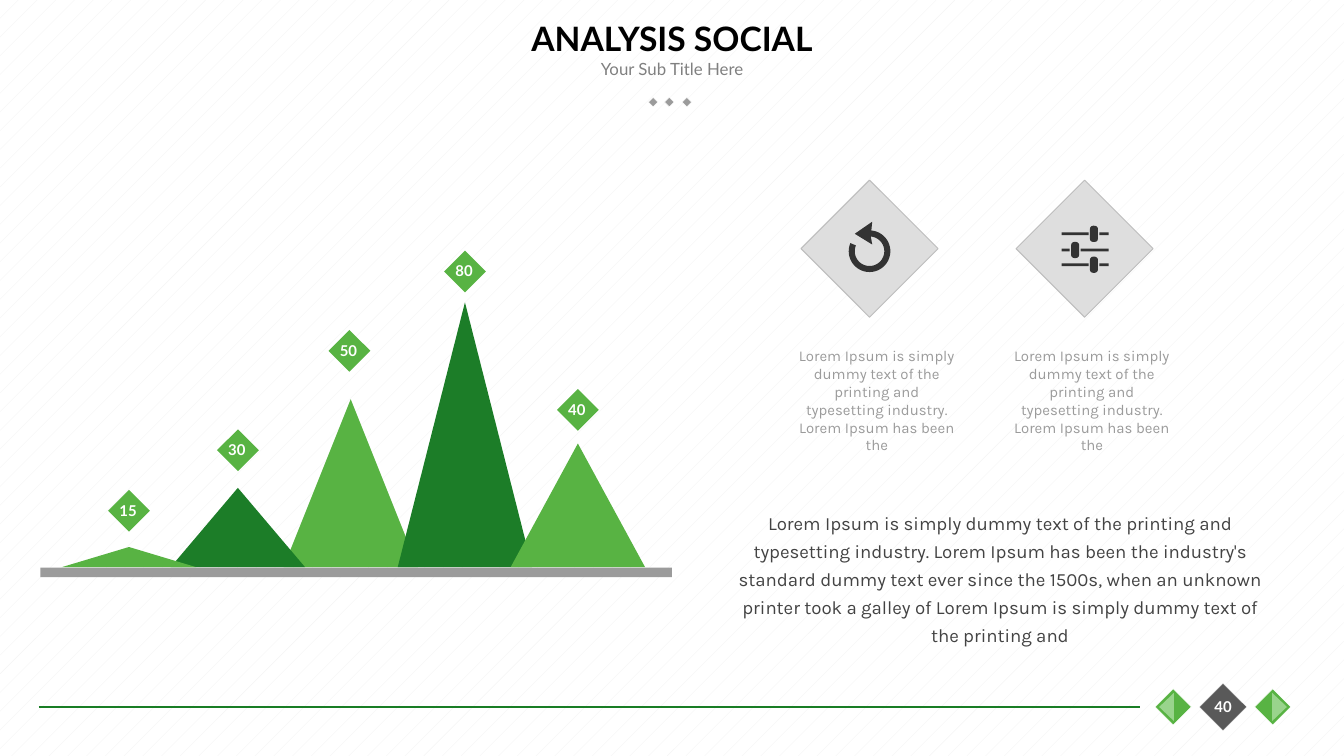
import math

from lxml import etree
from pptx import Presentation
from pptx.dml.color import RGBColor
from pptx.enum.dml import MSO_PATTERN
from pptx.enum.shapes import MSO_CONNECTOR, MSO_SHAPE
from pptx.enum.text import MSO_ANCHOR, PP_ALIGN
from pptx.oxml.ns import qn
from pptx.util import Inches, Pt

RECTANGLE = MSO_SHAPE.RECTANGLE
ROUNDED = MSO_SHAPE.ROUNDED_RECTANGLE
DIAMOND = MSO_SHAPE.DIAMOND
TRIANGLE = MSO_SHAPE.ISOSCELES_TRIANGLE
EXTRACT = MSO_SHAPE.FLOWCHART_EXTRACT
CENTER, LEFT = PP_ALIGN.CENTER, PP_ALIGN.LEFT
TOP, MIDDLE = MSO_ANCHOR.TOP, MSO_ANCHOR.MIDDLE

GREEN, DARK_GREEN, PALE_GREEN = "58B343", "1C7D28", "99D48C"
GRAY, ICON_COLOR, WHITE = "9B9B9B", "333333", "FFFFFF"
color = RGBColor.from_string

deck = Presentation()
deck.slide_width = Inches(10)
deck.slide_height = Inches(10) * 9 // 16
page = deck.slides.add_slide(deck.slide_layouts[5])
backdrop = page.background.fill
backdrop.patterned()
backdrop.pattern = MSO_PATTERN.PERCENT_5
backdrop.fore_color.rgb = color("F2F2F2")
backdrop.back_color.rgb = color(WHITE)


def add_figure(kind, center_x, center_y, width, height, fill, turn=0, line=None, weight=0.25):
    """Add a filled preset shape placed by its centre."""
    figure = page.shapes.add_shape(
        kind, Inches(center_x - width / 2), Inches(center_y - height / 2),
        Inches(width), Inches(height))
    figure.shadow.inherit = False
    figure.rotation = turn
    figure.fill.solid()
    figure.fill.fore_color.rgb = color(fill)
    if line:
        figure.line.color.rgb = color(line)
        figure.line.width = Pt(weight)
    else:
        figure.line.fill.background()
    return figure


def add_text(text, left, top, width, height, size, font, fill,
             bold=False, align=CENTER, anchor=TOP, box=None, wrap=True):
    """Write one paragraph in a new text box, or in the given box."""
    box = box or page.shapes.add_textbox(0, 0, 0, 0)
    box.left, box.top = Inches(left), Inches(top)
    box.width, box.height = Inches(width), Inches(height)
    frame = box.text_frame
    frame.word_wrap = wrap
    frame.vertical_anchor = anchor
    para = frame.paragraphs[0]
    para.alignment = align
    span = para.add_run()
    span.text = text
    span.font.size = Pt(size)
    span.font.name = font
    span.font.bold = bold
    span.font.color.rgb = color(fill)
    return para


# Heading
add_text("ANALYSIS SOCIAL", 0.75, 0, 8.5, 0.56, 18, "Lato", "000000",
         bold=True, anchor=MIDDLE, box=page.shapes.title)
add_text("Your Sub Title Here", 3.75, 0.39, 2.5, 0.25, 9, "Lato", "808080", anchor=MIDDLE)
for center_x in (4.86, 4.98, 5.11):
    add_figure(RECTANGLE, center_x, 0.76, 0.05, 0.05, GRAY, 315, WHITE)

# Footer
rule = page.shapes.add_connector(
    MSO_CONNECTOR.STRAIGHT, Inches(0.29), Inches(5.26), Inches(8.48), Inches(5.26))
rule.line.color.rgb = color("197D25")
rule.line.width = Pt(0.75)
etree.SubElement(rule._element.spPr, qn("a:effectLst"))
add_figure(RECTANGLE, 9.1, 5.26, 0.25, 0.25, "595959", 315, WHITE)
for center_x, half_x, turn in ((9.47, 9.52, 90), (8.73, 8.68, 270)):
    add_figure(RECTANGLE, center_x, 5.26, 0.19, 0.19, GREEN, 315, WHITE)
    add_figure(EXTRACT, half_x, 5.26, 0.21, 0.11, PALE_GREEN, turn)
add_text("40", 8.89, 5.13, 0.42, 0.25, 8, "Lato", WHITE, bold=True, anchor=MIDDLE)

# Peaks: value, centre, top of the peak, centre of the label, colour
BASE = 4.22
add_figure(RECTANGLE, 2.65, 4.26, 4.7, 0.07, GRAY)
peaks = (
    ("50", 2.61, 2.97, 2.6, 2.61, GREEN),
    ("80", 3.46, 2.25, 3.46, 2.02, DARK_GREEN),
    ("40", 4.3, 3.3, 4.3, 3.05, GREEN),
    ("30", 1.77, 3.63, 1.77, 3.35, DARK_GREEN),
    ("15", 0.96, 4.07, 0.96, 3.8, GREEN),
)
for value, peak_x, peak_top, label_x, label_y, fill in peaks:
    add_figure(TRIANGLE, peak_x, (peak_top + BASE) / 2, 1, BASE - peak_top, fill)
    add_figure(RECTANGLE, label_x, label_y, 0.22, 0.22, GREEN, 225)
    add_text(value, label_x - 0.17, label_y - 0.12, 0.34, 0.24, 8, "Lato", WHITE,
             bold=True, align=LEFT, wrap=False)

# Features
for diamond_x, text_left in ((6.47, 5.81), (8.07, 7.41)):
    add_figure(DIAMOND, diamond_x, 1.85, 1.02, 1.02, "DEDEDE", line="BDBDBD", weight=0.5)
    add_text("Lorem Ipsum is simply dummy text of the printing and typesetting industry. "
             "Lorem Ipsum has been the", text_left, 2.53, 1.43, 0.77, 8, "Karla", GRAY)

# Reset icon: an open ring that ends in an arrowhead
angles = [math.radians(degrees) for degrees in range(203, -86, -6)]
outer, inner = [
    [(6.47 + radius * math.cos(angle), 1.87 + radius * math.sin(angle)) for angle in angles]
    for radius in (0.155, 0.11)]
outline = outer + [(6.49, 1.65), (6.36, 1.74), (6.49, 1.82)] + inner[::-1]
points = [(Inches(x), Inches(y)) for x, y in outline]
builder = page.shapes.build_freeform(*points[0])
builder.add_line_segments(points[1:], close=True)
arrow = builder.convert_to_shape()
arrow.shadow.inherit = False
arrow.fill.solid()
arrow.fill.fore_color.rgb = color(ICON_COLOR)
arrow.line.fill.background()

# Sliders icon: each track is broken around its knob
TRACK_LEFT, TRACK_RIGHT, GAP = 7.9, 8.25, 0.04
for knob_x, track_y in ((8.14, 1.74), (8, 1.86), (8.14, 1.97)):
    for start, end in ((TRACK_LEFT, knob_x - GAP), (knob_x + GAP, TRACK_RIGHT)):
        add_figure(RECTANGLE, (start + end) / 2, track_y, end - start, 0.02, ICON_COLOR)
    knob = add_figure(ROUNDED, knob_x, track_y, 0.06, 0.12, ICON_COLOR)
    knob.adjustments[0] = 0.4

# Summary
summary = add_text(
    "Lorem Ipsum is simply dummy text of the printing and typesetting industry. "
    "Lorem Ipsum has been the industry's standard dummy text ever since the 1500s, "
    "when an unknown printer took a galley of Lorem Ipsum is simply dummy text of "
    "the printing and", 5.34, 3.72, 4.2, 0.94, 10, "Karla", "434343")
summary.line_spacing = Pt(15)

deck.save("out.pptx")
